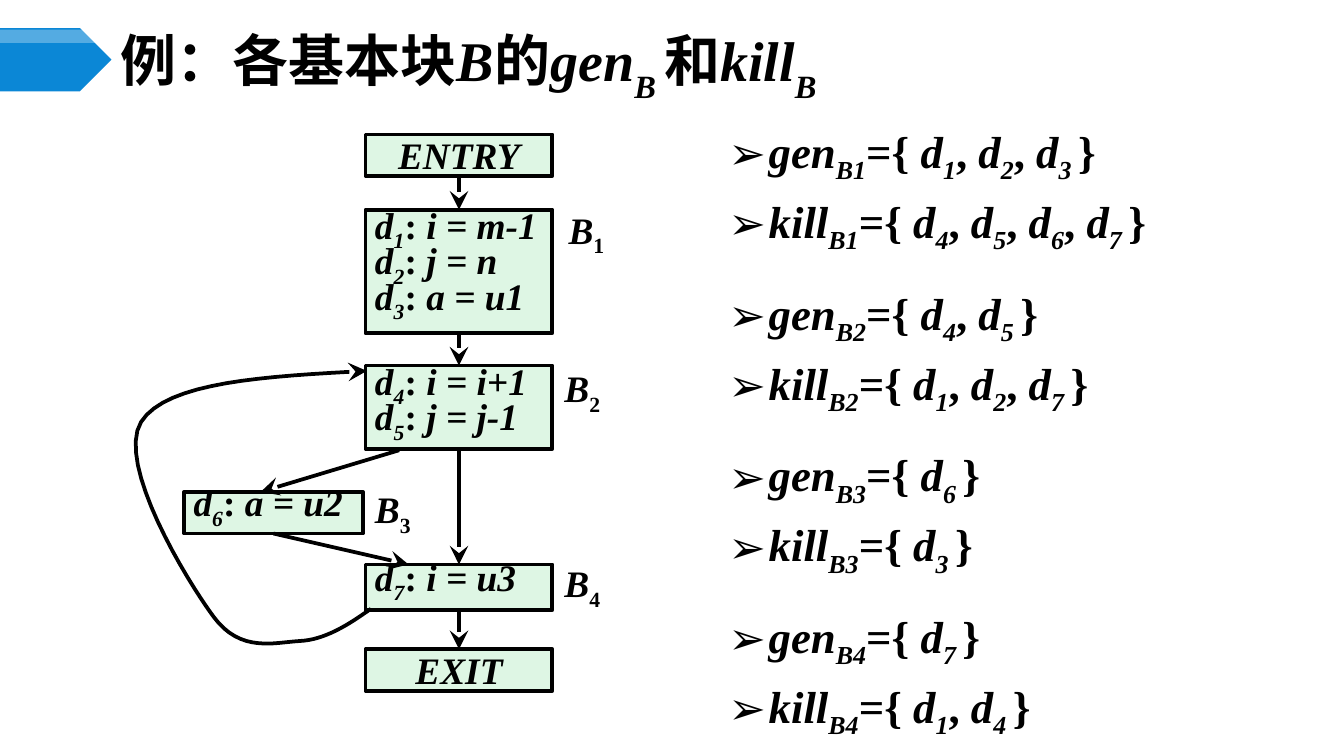
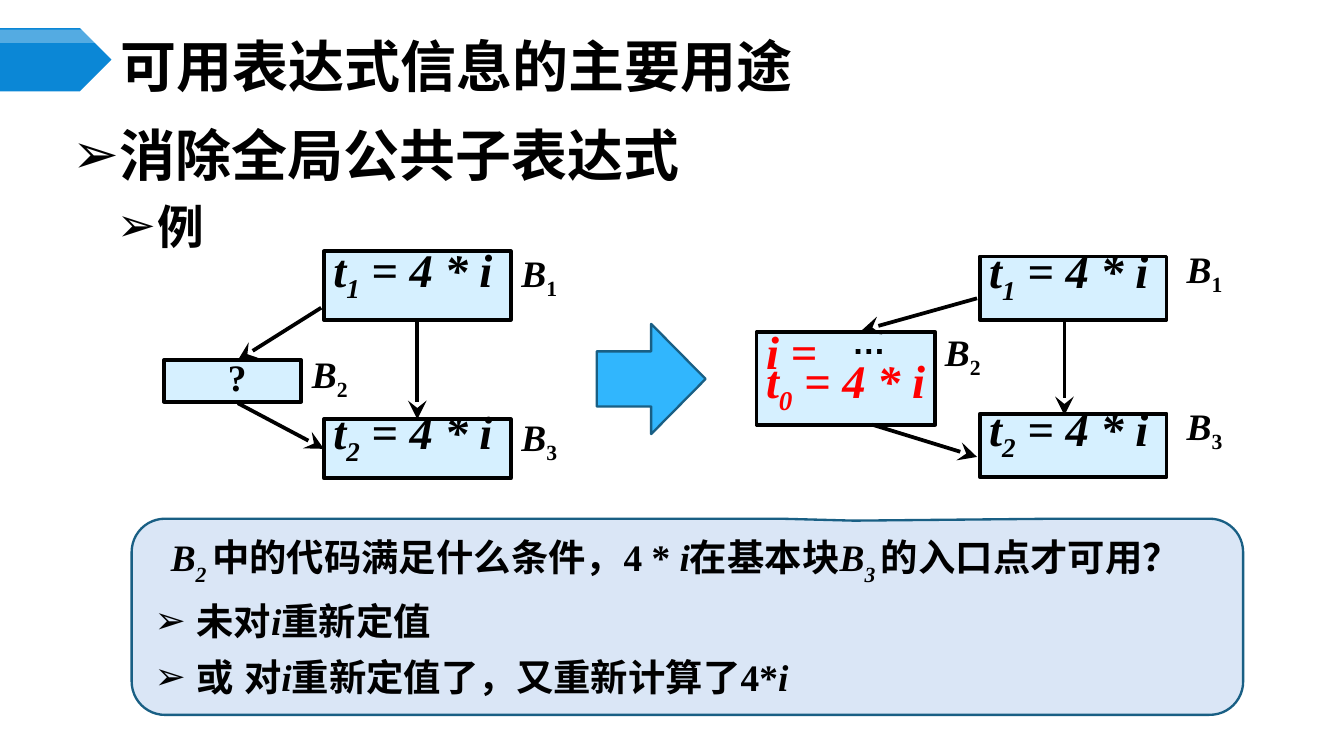
from dataclasses import dataclass

from lxml import etree
from pptx import Presentation
from pptx import util as u
from pptx.dml.color import RGBColor
from pptx.enum import shapes as sh
from pptx.enum import text as tx
from pptx.oxml import ns

PX = 9144  # one px is a hundredth of an inch


@dataclass(frozen=True)
class Theme:
    ink: str = "000000"
    red: str = "FF0000"
    white: str = "FFFFFF"
    band: str = "0B87D6"
    green: str = "DEF6E4"
    sky: str = "D6F0FF"
    arrow: str = "31B6FD"
    note: str = "DAE6F6"
    edge: str = "195F84"
    serif: str = "Times New Roman"
    sans: str = "Noto Sans CJK SC"
    plain: str = "Arial"
    title: int = 30
    code: int = 25
    list: int = 24
    text: int = 20
    dots: int = 18


T = Theme()
LEFT, MID, JUST = (tx.PP_ALIGN.LEFT, tx.PP_ALIGN.CENTER, tx.PP_ALIGN.JUSTIFY)
TOP, HALF, LOW = (tx.MSO_ANCHOR.TOP, tx.MSO_ANCHOR.MIDDLE,
                  tx.MSO_ANCHOR.BOTTOM)
KIND = sh.MSO_SHAPE
BULLET = "➢"
PAD = (7, 4, 7, 4)
SNUG = (7, 0, 0, 0)
STACK = (7, 6, 7, 0)


# ---- Basics ----
def emu(*vals):
    return [u.Emu(round(v * PX)) for v in vals]


def rgb(code):
    return RGBColor.from_string(code)


def put(obj, fmt):
    for key, val in fmt.items():
        setattr(obj, key, val)


def sub(node, tag, **attrs):
    return etree.SubElement(node, ns.qn(tag), attrs)


# ---- Text ----
def setup(frame, pad=PAD, anchor=TOP, wrap=True):
    sides = ("margin_left", "margin_top", "margin_right", "margin_bottom")
    put(frame, dict(zip(sides, emu(*pad))))
    put(frame, {"auto_size": tx.MSO_AUTO_SIZE.NONE, "word_wrap": wrap,
                "vertical_anchor": anchor})


def para(frame, mark, size, fmt, face=T.serif, ink=T.ink, drop=25,
         left=None, hang=0, bullet=False):
    """Add a paragraph; /x/ marks italics and [x] marks a subscript."""
    par = frame.add_paragraph() if frame.text else frame.paragraphs[0]
    if left is not None:
        prop = par._p.get_or_add_pPr()
        prop.set("marL", str(left * PX))
        prop.set("indent", str(hang * PX))
        if bullet:
            sub(prop, "a:buFont", typeface=T.plain)
            sub(prop, "a:buChar", char=BULLET)
    put(par, fmt)
    for i, part in enumerate(mark.split("/")):
        for j, bit in enumerate(part.replace("]", "[").split("[")):
            if not bit:
                continue
            run = par.add_run()
            run.text = bit
            slant = i % 2 == 1
            name = T.serif if slant else face
            put(run.font, {"size": u.Pt(size), "bold": True,
                           "italic": slant, "name": name})
            run.font.color.rgb = rgb(ink)
            prop = run._r.get_or_add_rPr()
            sub(prop, "a:ea", typeface=T.plain if name == T.serif else name)
            if j % 2:
                prop.set("baseline", str(-drop * 1000))


def area(slide, at, pad=PAD, anchor=TOP, wrap=True):
    frame = slide.shapes.add_textbox(*emu(*at)).text_frame
    setup(frame, pad, anchor, wrap)
    return frame


def label(slide, x, y, num):
    para(area(slide, (x, y, 69, 36)), f"/B/[{num}]", T.text,
         {"alignment": JUST})


# ---- Shapes ----
def form(slide, kind, at, fill, edge=None, width=2.0, adj=()):
    shape = slide.shapes.add_shape(kind, *emu(*at))
    shape.shadow.inherit = False
    shape.fill.solid()
    shape.fill.fore_color.rgb = rgb(fill)
    if edge:
        shape.line.color.rgb = rgb(edge)
        shape.line.width = u.Pt(width)
    else:
        shape.line.fill.background()
    for i, val in enumerate(adj):
        shape.adjustments[i] = val
    return shape


def block(slide, at, rows, fill, size=T.text, pad=SNUG, anchor=HALF,
          align=JUST, lead=u.Pt(19), ink=T.ink):
    shape = form(slide, KIND.RECTANGLE, at, fill, T.ink)
    setup(shape.text_frame, pad, anchor)
    for row in rows:
        para(shape.text_frame, row, size,
             {"alignment": align, "line_spacing": lead}, ink=ink)
    return shape


def tip(item):
    item.line.color.rgb = rgb(T.ink)
    item.line.width = u.Pt(2)
    sub(item.line._get_or_add_ln(), "a:tailEnd", type="stealth",
        w="lg", len="lg")


def link(slide, start, end):
    """Draw an arrow; each end is a point or a (shape, side) pair."""
    free = [isinstance(p[0], int) for p in (start, end)]
    a, b = (p if loose else (0, 0) for p, loose in zip((start, end), free))
    line = slide.shapes.add_connector(sh.MSO_CONNECTOR.STRAIGHT,
                                      *emu(*a, *b))
    if not free[0]:
        line.begin_connect(*start)
    if not free[1]:
        line.end_connect(*end)
    tip(line)
    sub(line._element.spPr, "a:effectLst")


def curve(slide, start, parts, steps=16):
    """Draw an open arrow along cubic curves given by three points each."""
    pts, p = [], start
    for q, r, s in parts:
        for n in range(1, steps + 1):
            t = n / steps
            k = ((1 - t) ** 3, 3 * t * (1 - t) ** 2,
                 3 * t * t * (1 - t), t ** 3)
            pts.append(emu(*(sum(w * c[d] for w, c in zip(k, (p, q, r, s)))
                             for d in (0, 1))))
        p = s
    pen = slide.shapes.build_freeform(*emu(*start))
    pen.add_line_segments(pts, close=False)
    shape = pen.convert_to_shape()
    shape.shadow.inherit = False
    shape.fill.background()
    tip(shape)


# ---- Shared page ----
def page(deck, head):
    slide = deck.slides.add_slide(deck.slide_layouts[5])
    form(slide, KIND.PENTAGON, (0, 21, 83, 47), T.band)
    shine = form(slide, KIND.PENTAGON, (0, 22, 83, 10), T.white, adj=[0.5])
    tone = shine._element.spPr.find(ns.qn("a:solidFill"))[0]
    sub(tone, "a:alpha", val="30000")
    title = slide.shapes.title
    put(title, dict(zip(("left", "top", "width", "height"),
                        emu(83, 29, 867, 39))))
    setup(title.text_frame, anchor=HALF)
    para(title.text_frame, head, T.title, {"alignment": LEFT},
         face=T.sans, drop=30)
    return slide


# ---- Slide 1: gen and kill sets ----
def sets(deck):
    slide = page(deck, "例：各基本块/B/的/gen[B ]/和/kill[B]/")
    frame = area(slide, (535, 88, 406, 477))
    defs = [("123", "4567"), ("45", "127"), ("6", "3"), ("7", "14")]
    for n, pair in enumerate(defs, 1):
        for name, nums in zip(("gen", "kill"), pair):
            items = "/, /".join(f"d[{d}]" for d in nums)
            mark = f"/{name}[B{n}]/={{ /{items[:-1]} ]/}}"
            gap = 0.2 * T.list + (11.5 if name == "gen" else 0)
            fmt = {"space_before": u.Pt(gap)} if frame.text else {}
            para(frame, mark, T.list, fmt, left=30, hang=-30, bullet=True)

    # Flow graph
    def node(y, high, rows, x=272, wide=139, **kw):
        return block(slide, (x, y, wide, high), rows, T.green, **kw)

    cap = {"pad": (7, 3, 7, 0), "anchor": LOW, "align": MID, "lead": 0.7}
    many = {"pad": STACK, "anchor": TOP}
    entry = node(100, 31, ["/ENTRY/"], **cap)
    b1 = node(156, 92, ["/d[1]/: /i = m-1/", "/d[2]/: /j = n/",
                        "/d[3]/: /a = u1/"], **many)
    b2 = node(272, 62, ["/d[4]/: /i = i+1/", "/d[5]/: /j = j-1/"], **many)
    b3 = node(366, 31, ["/d[6]/: /a = u2/"], x=137, wide=133)
    b4 = node(420, 34, ["/d[7]/: /i = u3/"])
    leave = node(483, 31, ["/EXIT/"], **cap)
    chain = [entry, b1, b2, b4, leave]
    for a, b in zip(chain, chain[1:]):
        link(slide, (a, 2), (b, 0))
    link(slide, (297, 335), (194, 366))
    link(slide, (b3, 2), (304, 420))
    curve(slide, (276, 453), [
        ((259, 465), (242, 476), (223, 477)),
        ((204, 478), (179, 486), (159, 459)),
        ((139, 432), (86, 345), (105, 314)),
        ((124, 284), (198, 280), (273, 276))])
    spots = [(416, 150), (413, 268), (272, 358), (413, 413)]
    for n, (x, y) in enumerate(spots, 1):
        label(slide, x, y, n)


# ---- Slide 2: use of available expressions ----
def uses(deck):
    slide = page(deck, "可用表达式信息的主要用途")
    frame = area(slide, (47, 86, 898, 353))
    para(frame, "消除全局公共子表达式", T.title, {}, left=30, hang=-30,
         bullet=True)
    para(frame, "例", T.code, {"level": 1, "space_before": u.Pt(5)},
         left=63, hang=-30, bullet=True)

    def node(at, *rows, **kw):
        kw = {"size": T.code, **kw}
        return block(slide, at, rows, T.sky, **kw)

    # Before
    t1 = node((241, 187, 139, 51), "/t[1] = 4 * i/", lead=u.Pt(20))
    t2 = node((241, 312, 139, 44), "/t[2] = 4 * i/")
    node((122, 268, 102, 31), "?", size=T.text, align=MID)
    link(slide, (t1, 2), (t2, 0))
    link(slide, (239, 229), (177, 268))
    link(slide, (177, 300), (t2, 1))

    # After
    node((729, 191, 139, 47), "/t[1] = 4 * i/")
    node((729, 308, 139, 47), "/t[2] = 4 * i/")
    node((563, 247, 133, 69), "/i =/", "/t[0] = 4 * i/", lead=u.Pt(20),
         ink=T.red)
    link(slide, (792, 238), (792, 309))
    link(slide, (727, 222), (641, 246))
    link(slide, (649, 316), (727, 340))
    para(area(slide, (626, 248, 41, 12), anchor=HALF, wrap=False), "…",
         T.dots, {"alignment": MID}, face=T.plain)

    for spots in ([(381, 182), (225, 257), (381, 304)],
                  [(876, 179), (696, 241), (876, 296)]):
        for n, (x, y) in enumerate(spots, 1):
            label(slide, x, y, n)
    form(slide, KIND.RIGHT_ARROW, (444, 241, 81, 82), T.arrow, T.edge, 1.25)

    # Question and answers
    note = form(slide, KIND.ROUNDED_RECTANGULAR_CALLOUT,
                (98, 386, 827, 146), T.note, T.edge, 1.25,
                (0.15, -0.49, 0.17))
    frame = note.text_frame
    setup(frame, (10, 5, 10, 5), HALF)
    base = {"alignment": LEFT, "level": 1}
    para(frame, "/B[2 ]/中的代码满足什么条件，4 * /i/在基本块/B[3 ]/的入口点才可用？",
         T.text, base, drop=30, left=0, hang=12)
    for row in ("未对/i/重新定值", "或 对/i/重新定值了，又重新计算了4*/i/"):
        para(frame, row, T.text, {**base, "space_before": u.Pt(6)},
             left=31, hang=-31, bullet=True)


def main():
    deck = Presentation()
    wide = 1000
    deck.slide_width, deck.slide_height = emu(wide, wide * 9 / 16)
    sets(deck)
    uses(deck)
    deck.save("out.pptx")


if __name__ == "__main__":
    main()
